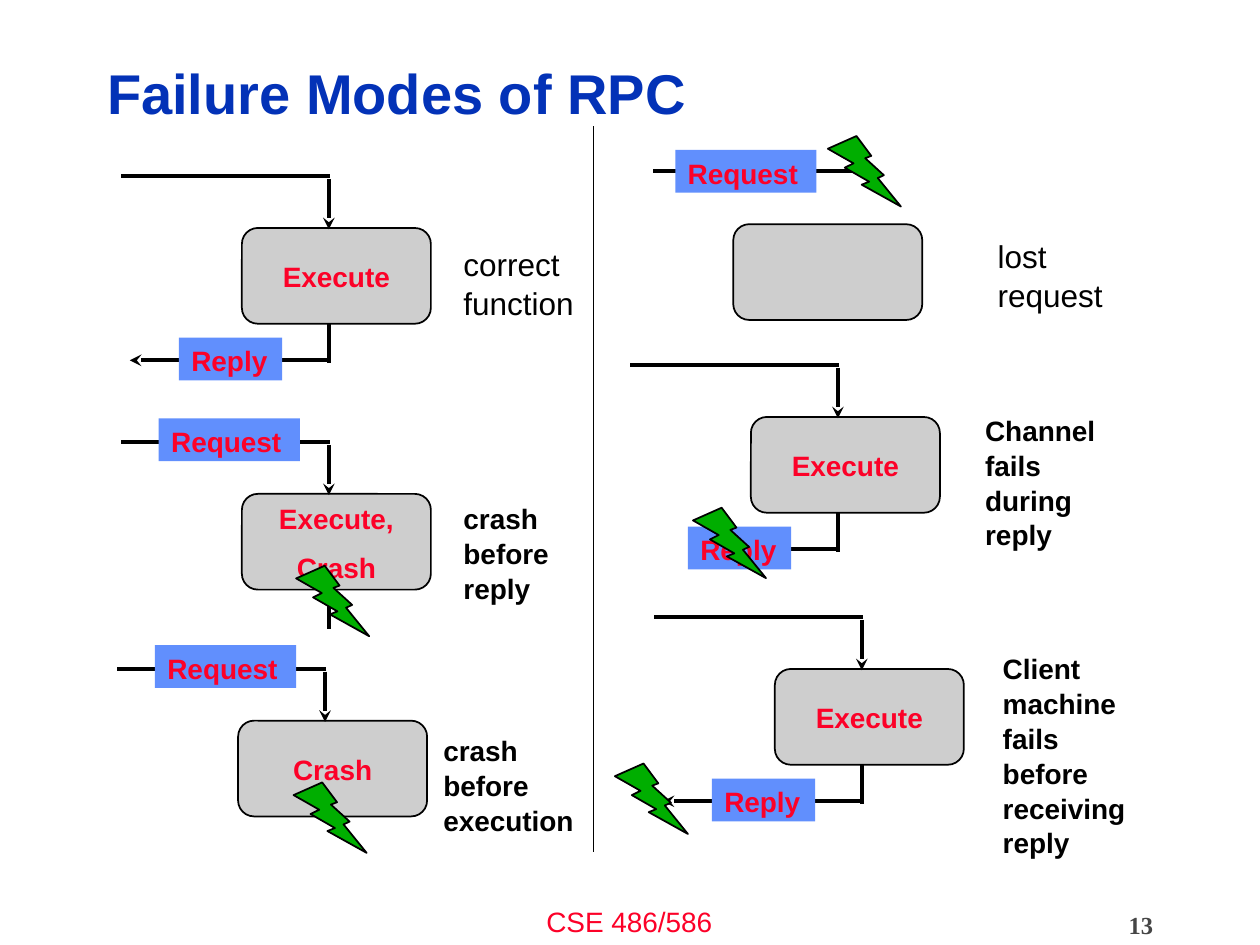
from dataclasses import dataclass
from typing import Any

from lxml.etree import SubElement
from pptx import Presentation
from pptx.dml.color import RGBColor
from pptx.enum.shapes import MSO_CONNECTOR as Connector, MSO_SHAPE as Shape
from pptx.enum.text import MSO_ANCHOR as Anchor, PP_ALIGN as Align
from pptx.oxml.ns import qn
from pptx.util import Inches, Pt

COLORS = {
    "title": "0332B7", "label": "FC0128", "text": "000000", "line": "000000",
    "number": "454545", "execute": "CECECE", "message": "618FFD", "bolt": "00AE00",
}
FORMATS = {
    "title": {"size": Pt(32), "bold": True, "name": "Arial"},
    "label": {"size": Pt(16), "bold": True, "name": "Arial"},
    "plain": {"size": Pt(18), "bold": False, "name": "Arial"},
    "footer": {"size": Pt(16), "bold": False, "name": "Arial"},
    "number": {"size": Pt(14), "bold": True, "name": "Times New Roman"},
}


@dataclass
class Sketch:
    """Draws styled elements on the current slide."""
    page: Any

    def set_text(self, shape, lines, style, color, align=Align.LEFT,
                 anchor=Anchor.TOP, wrap=True, spacing=1.0):
        frame = shape.text_frame
        frame.word_wrap = wrap
        frame.vertical_anchor = anchor
        for index, line in enumerate(lines):
            para = frame.paragraphs[0] if index == 0 else frame.add_paragraph()
            para.alignment = align
            para.line_spacing = spacing
            para.space_before = Pt(8 if index else 0)
            span = para.add_run()
            span.text = line
            for key, value in FORMATS[style].items():
                setattr(span.font, key, value)
            span.font.color.rgb = RGBColor.from_string(COLORS[color])

    def title(self, text, left, top, width, height):
        box = self.page.shapes.title
        place = {"left": left, "top": top, "width": width, "height": height}
        for key, value in place.items():
            setattr(box, key, Inches(value))
        self.set_text(box, [text], "title", "title", anchor=Anchor.MIDDLE, spacing=0.9)

    def text(self, text, left, top, width, height, style="label", color="text", **layout):
        box = self.page.shapes.add_textbox(*map(Inches, (left, top, width, height)))
        self.set_text(box, [text], style, color, **layout)

    def shape(self, kind, fill, left, top, width, height, outlined=True):
        shape = self.page.shapes.add_shape(kind, *map(Inches, (left, top, width, height)))
        shape.shadow.inherit = False
        shape.fill.solid()
        shape.fill.fore_color.rgb = RGBColor.from_string(COLORS[fill])
        if outlined:
            shape.line.color.rgb = RGBColor.from_string(COLORS["line"])
            shape.line.width = Pt(1)
        else:
            shape.line.fill.background()
        return shape

    def server(self, left, top, lines=()):
        box = self.shape(Shape.ROUNDED_RECTANGLE, "execute", left, top, 1.5, 0.76)
        self.set_text(box, lines, "label", "label", Align.CENTER, Anchor.MIDDLE,
                      wrap=False, spacing=1.04)

    def message(self, text, left, top):
        width = 1.12 if text == "Request" else 0.82
        box = self.shape(Shape.RECTANGLE, "message", left, top, width, 0.34, outlined=False)
        self.set_text(box, [text], "label", "label")

    def bolt(self, left, top):
        self.shape(Shape.LIGHTNING_BOLT, "bolt", left, top, 0.58, 0.56)

    def line(self, x1, y1, x2, y2, weight=2.25, arrow=False):
        connector = self.page.shapes.add_connector(
            Connector.STRAIGHT, *map(Inches, (x1, y1, x2, y2)))
        connector.line.color.rgb = RGBColor.from_string(COLORS["line"])
        connector.line.width = Pt(weight)
        properties = connector.element.spPr
        if arrow:
            SubElement(properties.find(qn("a:ln")), qn("a:tailEnd"), type="stealth")
        SubElement(properties, qn("a:effectLst"))

    def call(self, left, top, lines, request=False, stub=True, reply=None, reply_end=0.0):
        """A call entering a server box, with an optional reply leaving it."""
        stem = left + 0.69
        self.server(left, top, lines)
        self.line(stem, top - 0.39, stem, top + 0.01, arrow=True)
        self.line(stem + 0.01, top - 0.41, left - 0.96, top - 0.41)
        if stub:
            self.line(stem, top + 0.76, stem, top + 1.07)
        if reply:
            self.line(stem, top + 1.05, left - reply_end, top + 1.05, arrow=True)
            self.message(reply, left - 0.5, top + 0.87)
        if request:
            self.message("Request", left - 0.66, top - 0.6)


def main():
    deck = Presentation()
    deck.slide_width, deck.slide_height = Inches(10), Inches(7.5)
    sketch = Sketch(deck.slides.add_slide(deck.slide_layouts[5]))

    # Title, divider and footer
    sketch.title("Failure Modes of RPC", 0.75, 0.36, 7.98, 0.81)
    sketch.line(4.71, 1, 4.71, 6.76, weight=1)
    sketch.text("CSE 486/586", 3.33, 7.13, 3.33, 0.37, "footer", "label",
                align=Align.CENTER)
    sketch.text("13", 7.17, 7.18, 2.08, 0.32, "number", "number",
                align=Align.RIGHT, anchor=Anchor.MIDDLE, wrap=False)

    # Left column: correct call and server crashes
    sketch.call(1.92, 1.81, ["Execute"], reply="Reply", reply_end=0.89)
    sketch.call(1.92, 3.92, ["Execute,", "Crash"], request=True)
    sketch.call(1.89, 5.72, ["Crash"], request=True, stub=False)

    # Right column: lost request, lost reply, client failure
    sketch.server(5.82, 1.78)
    sketch.line(6.85, 1.36, 5.18, 1.36)
    sketch.message("Request", 5.36, 1.19)
    sketch.call(5.96, 3.31, ["Execute"], reply="Reply", reply_end=0.31)
    sketch.call(6.15, 5.31, ["Execute"], reply="Reply", reply_end=0.89)

    # Points of failure
    for left, top in [(2.35, 4.49), (2.33, 6.21), (6.57, 1.08), (5.5, 4.03), (4.88, 6.06)]:
        sketch.bolt(left, top)

    # Captions
    captions = [
        ("correct function", 3.58, 1.88, 1.12, 0.64, "plain"),
        ("crash before reply", 3.58, 3.92, 1.12, 0.82, "label"),
        ("crash before execution", 3.42, 5.76, 1.26, 0.82, "label"),
        ("lost request", 7.82, 1.82, 1.12, 0.64, "plain"),
        ("Channel fails during reply", 7.72, 3.22, 1.12, 1.07, "label"),
        ("Client machine fails before receiving reply", 7.86, 5.11, 1.22, 1.55, "label"),
    ]
    for caption in captions:
        sketch.text(*caption, spacing=1.04)

    deck.save("out.pptx")


if __name__ == "__main__":
    main()
